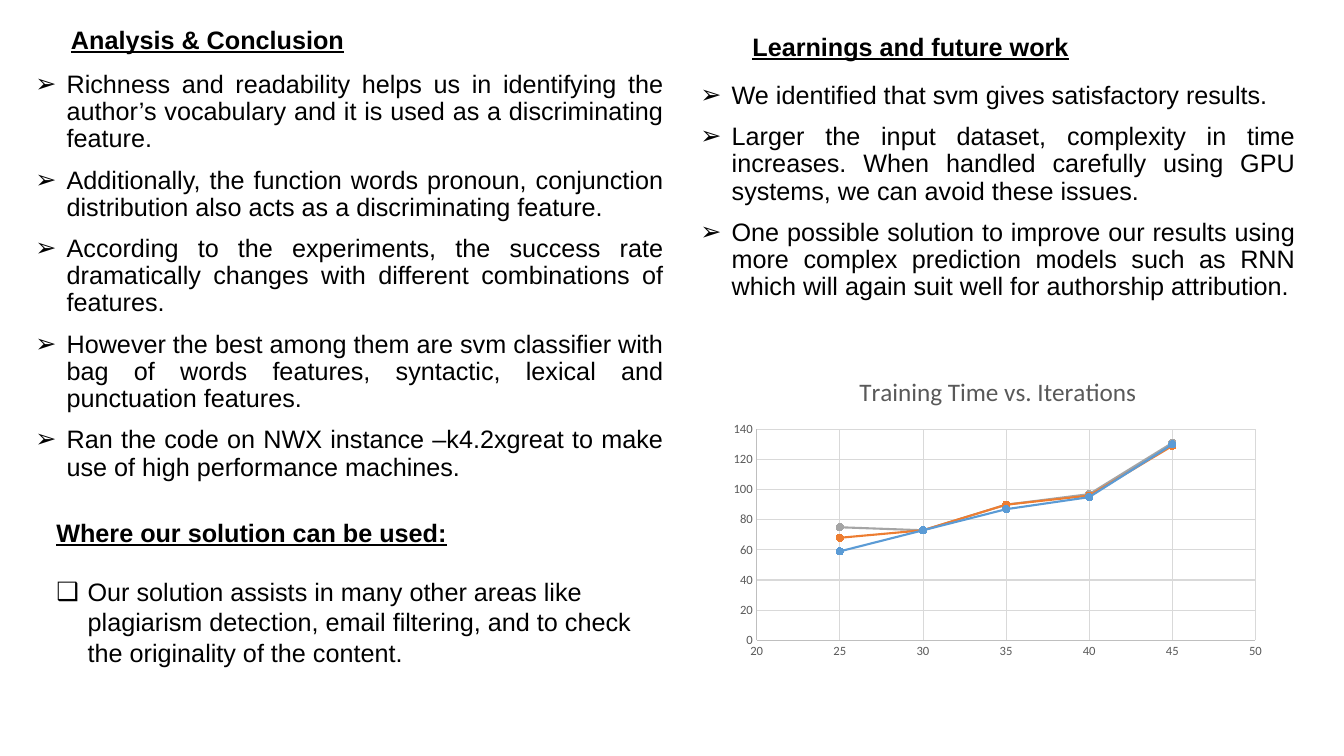
from dataclasses import dataclass

from lxml import etree
from pptx import Presentation
from pptx.chart.data import XyChartData
from pptx.dml.color import RGBColor
from pptx.enum.chart import XL_CHART_TYPE, XL_MARKER_STYLE, XL_TICK_MARK
from pptx.enum.text import MSO_ANCHOR, PP_ALIGN
from pptx.oxml.ns import qn
from pptx.util import Cm, Pt

SCATTER = XL_CHART_TYPE.XY_SCATTER_LINES
CIRCLE = XL_MARKER_STYLE.CIRCLE
NO_TICK = XL_TICK_MARK.NONE
TOP, BOTTOM = MSO_ANCHOR.TOP, MSO_ANCHOR.BOTTOM
LEFT, CENTER, JUSTIFY = PP_ALIGN.LEFT, PP_ALIGN.CENTER, PP_ALIGN.JUSTIFY

FINDINGS = [
    "Richness and readability helps us in identifying the author’s vocabulary and it is used as a discriminating feature.",
    "Additionally, the function words pronoun, conjunction distribution also acts as a discriminating feature.",
    "According to the experiments, the success rate dramatically changes with different combinations of features.",
    "However the best among them are svm classifier with bag of words features, syntactic, lexical and punctuation features.",
    "Ran the code on NWX instance –k4.2xgreat to make use of high performance machines.",
]
LEARNINGS = [
    "We identified that svm gives satisfactory results.",
    "Larger the input dataset, complexity in time increases. When handled carefully using GPU systems, we can avoid these issues.",
    "One possible solution to improve our results using more complex prediction models such as RNN which will again suit well for authorship attribution.",
]
USES = [
    "Our solution assists in many other areas like plagiarism detection, email filtering, and to check the originality of the content.",
]
ITERATIONS = [25, 30, 35, 40, 45]
TRAINING_TIMES = {
    "Series 1": [59, 73, 87, 95, 130],
    "Series 2": [68, 73, 90, 96, 129],
    "Series 3": [75, 73, 90, 97, 131],
}


@dataclass(frozen=True)
class Theme:
    """Fonts, type sizes in points and colours of the slide."""

    text_font: str = "Arial"
    chart_font: str = "Calibri"
    text_size: int = 18
    label_size: int = 9
    text: str = "000000"
    chart_text: str = "595959"
    axis: str = "BFBFBF"
    grid: str = "D9D9D9"
    series: tuple = ("5B9BD5", "ED7D31", "A5A5A5")


class SlideBuilder:
    """Draws headings, bullet lists and charts on one slide."""

    def __init__(self, slide, theme):
        """Keep the slide and its style."""
        self.slide = slide
        self.theme = theme

    def style_font(self, font, name, size, color):
        """Give a font its name, size and colour."""
        font.name = name
        font.size = Pt(size)
        font.color.rgb = RGBColor.from_string(color)

    def style_line(self, line, color, width):
        """Give a line its colour and width."""
        line.color.rgb = RGBColor.from_string(color)
        line.width = Pt(width)

    def text_box(self, left, top, width, height, anchor=TOP):
        """Add a wrapping text box and return its frame."""
        box = self.slide.shapes.add_textbox(Cm(left), Cm(top), Cm(width), Cm(height))
        box.text_frame.word_wrap = True
        box.text_frame.vertical_anchor = anchor
        return box.text_frame

    def heading(self, frame, text, align=CENTER, spacing=0.9):
        """Write a bold underlined heading in the first paragraph."""
        para = frame.paragraphs[0]
        para.text = text
        para.alignment = align
        para.line_spacing = spacing
        span = para.runs[0]
        self.style_font(span.font, self.theme.text_font, self.theme.text_size, self.theme.text)
        span.font.bold = True
        span.font.underline = True

    def bullets(self, frame, items, mark="➢", align=JUSTIFY, spacing=0.9, gap=10):
        """Write items as bulleted paragraphs with a hanging indent."""
        for item in items:
            para = frame.add_paragraph() if frame.text else frame.paragraphs[0]
            para.text = item
            para.alignment = align
            para.line_spacing = spacing
            para.space_before = Pt(gap)
            self.style_font(para.runs[0].font, self.theme.text_font, self.theme.text_size, self.theme.text)
            properties = para._p.get_or_add_pPr()
            properties.set("marL", str(Cm(0.79)))
            properties.set("indent", str(-Cm(0.79)))
            etree.SubElement(properties, qn("a:buFont"), typeface=self.theme.text_font)
            etree.SubElement(properties, qn("a:buChar"), char=mark)

    def axis(self, axis, low, high, step):
        """Scale and style one chart axis."""
        axis.minimum_scale, axis.maximum_scale, axis.major_unit = low, high, step
        axis.major_tick_mark = axis.minor_tick_mark = NO_TICK
        axis.has_major_gridlines = True
        self.style_line(axis.major_gridlines.format.line, self.theme.grid, 0.75)
        self.style_line(axis.format.line, self.theme.axis, 0.75)
        self.style_font(axis.tick_labels.font, self.theme.chart_font, self.theme.label_size, self.theme.chart_text)

    def scatter(self, left, top, width, height, title, x_values, series_values):
        """Add a scatter chart with lines and return it."""
        data = XyChartData()
        for name, values in series_values.items():
            series = data.add_series(name)
            for x, y in zip(x_values, values):
                series.add_data_point(x, y)
        frame = self.slide.shapes.add_chart(SCATTER, Cm(left), Cm(top), Cm(width), Cm(height), data)
        chart = frame.chart
        chart.has_legend = False
        chart.has_title = True
        chart.chart_title.text_frame.text = title
        span = chart.chart_title.text_frame.paragraphs[0].runs[0]
        self.style_font(span.font, self.theme.chart_font, self.theme.text_size, self.theme.chart_text)
        span.font.bold = False
        chart.plots[0].vary_by_categories = False
        for series, color in zip(chart.plots[0].series, self.theme.series):
            series.smooth = False
            self.style_line(series.format.line, color, 1.5)
            series.marker.style = CIRCLE
            series.marker.size = 5
            series.marker.format.fill.solid()
            series.marker.format.fill.fore_color.rgb = RGBColor.from_string(color)
            self.style_line(series.marker.format.line, color, 0.75)
        return chart


def main():
    """Build the slide and save the deck."""
    deck = Presentation()
    deck.slide_width, deck.slide_height = Cm(33.87), Cm(19.05)
    page = SlideBuilder(deck.slides.add_slide(deck.slide_layouts[6]), Theme())

    page.heading(page.text_box(0.86, 0.13, 8.74, 1.37, BOTTOM), "Analysis & Conclusion")
    page.bullets(page.text_box(0.64, 1.68, 16.33, 10.85), FINDINGS)

    chart = page.scatter(18.21, 9.04, 13.87, 7.72, "Training Time vs. Iterations", ITERATIONS, TRAINING_TIMES)
    page.axis(chart.category_axis, 20, 50, 5)
    page.axis(chart.value_axis, 0, 140, 20)

    page.bullets(page.text_box(17.4, 1.96, 15.49, 7.09), LEARNINGS)
    page.heading(page.text_box(17.4, 0.36, 11.1, 1.32, BOTTOM), "Learnings and future work")

    uses = page.text_box(1.17, 12.9, 15.24, 4.88)
    page.heading(uses, "Where our solution can be used:", LEFT, 1)
    page.bullets(uses, USES, "❑", LEFT, 1, 21)

    deck.save("out.pptx")


if __name__ == "__main__":
    main()
